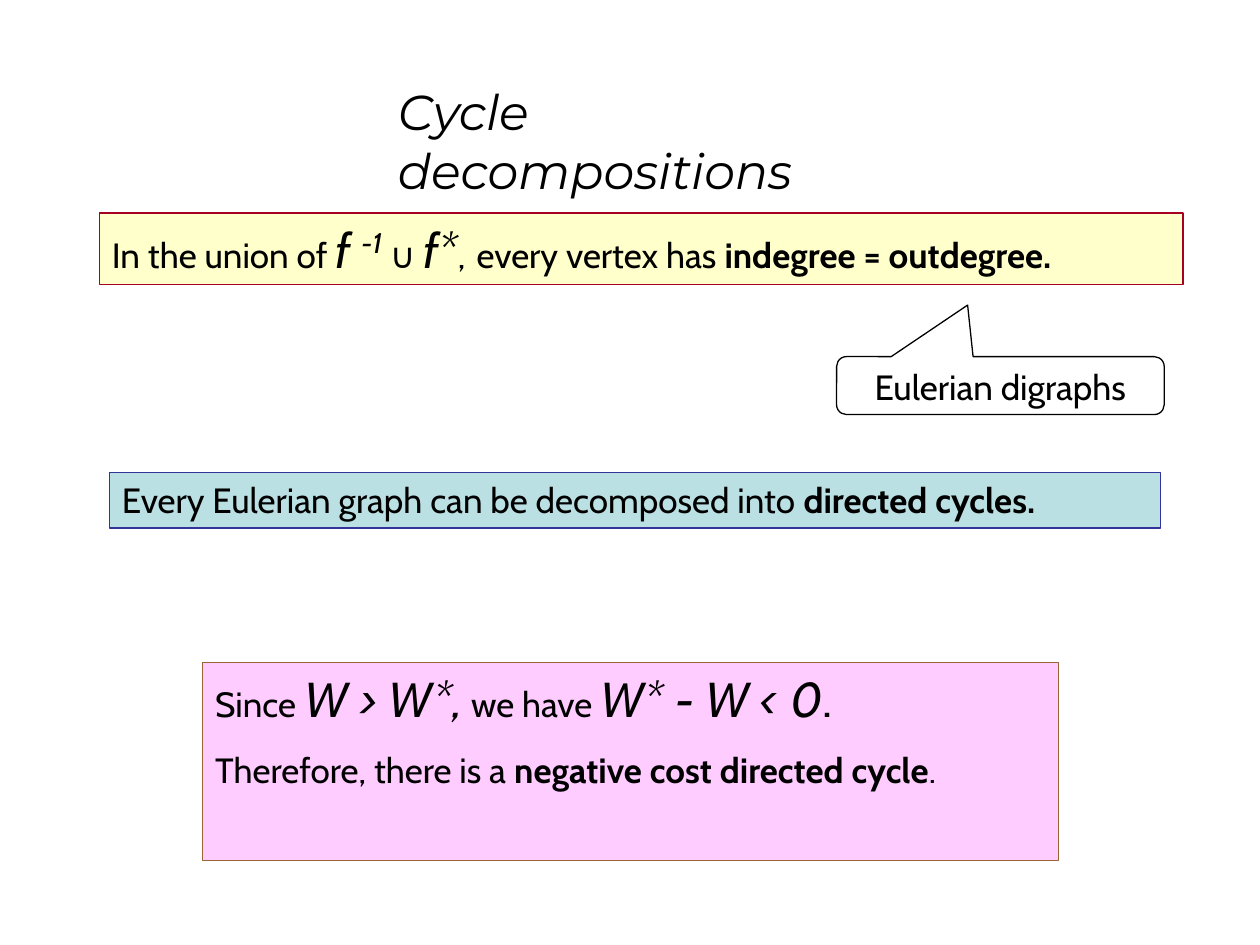
from pptx import Presentation
from pptx.dml.color import RGBColor
from pptx.enum.shapes import MSO_SHAPE
from pptx.enum.text import MSO_ANCHOR, PP_ALIGN
from pptx.util import Pt

RECTANGLE = MSO_SHAPE.RECTANGLE
CALLOUT = MSO_SHAPE.ROUNDED_RECTANGULAR_CALLOUT
TOP = MSO_ANCHOR.TOP
LEFT, CENTER = PP_ALIGN.LEFT, PP_ALIGN.CENTER

COLORS = {
    "text": "000000",
    "yellow": "FFFFCC", "red": "A50021",
    "blue": "BBE0E3", "navy": "333399",
    "pink": "FFCCFF", "brown": "996633",
}
BODY_SIZE, MATH_SIZE = 20, 28
STYLES = {
    "plain": (BODY_SIZE, False, False),
    "bold": (BODY_SIZE, True, False),
    "italic": (BODY_SIZE, False, True),
    "math": (MATH_SIZE, False, True),
    "power": (MATH_SIZE, False, True),
    "large": (MATH_SIZE, False, False),
}

TITLE = {"at": (220.3, 43.2, 279.4, 41), "text": "Cycle decompositions"}
BOXES = [
    {"at": (115.9, 378.7, 488.9, 113), "fill": "pink", "line": "brown", "paragraphs": [
        (1, [("Since ", "plain"), ("W > W*,", "math"), (" we have ", "plain"),
             ("W* - W < 0", "math"), (".", "large")]),
        (1.5, [("Therefore, there is a ", "plain"),
               ("negative cost directed cycle", "bold"), (".", "plain")]),
    ]},
    {"at": (56.9, 121.7, 619.2, 41), "fill": "yellow", "line": "red", "paragraphs": [
        (1, [("In the union of ", "plain"), ("f ", "math"), ("-1", "power"),
             (" ∪ ", "italic"), ("f*", "math"), (",", "plain"), (" ", "large"),
             ("every vertex has ", "plain"), ("indegree = outdegree.", "bold")]),
    ]},
    {"at": (478.1, 203.8, 187.2, 33.1), "line": "text", "shape": CALLOUT,
     "adjustments": (-0.1, -1.39, 0.17), "align": CENTER,
     "paragraphs": [(1, [("Eulerian digraphs", "plain")])]},
    {"at": (62.6, 270, 600.5, 31.7), "fill": "blue", "line": "navy", "paragraphs": [
        (1, [("Every Eulerian graph can be decomposed into ", "plain"),
             ("directed cycles.", "bold")]),
    ]},
]


def color(name):
    return RGBColor.from_string(COLORS[name])


def prepare_frame(shape):
    frame = shape.text_frame
    frame.word_wrap = True
    frame.vertical_anchor = TOP
    return frame


def add_title(slide):
    shape = slide.shapes.add_textbox(*map(Pt, TITLE["at"]))
    paragraph = prepare_frame(shape).paragraphs[0]
    paragraph.text = TITLE["text"]
    font = paragraph.font
    font.name, font.size, font.italic = "Montserrat", Pt(28), True
    font.color.rgb = color("text")


def add_runs(paragraph, runs):
    paragraph.font.name = "Cabin"
    paragraph.font.color.rgb = color("text")
    for text, style in runs:
        run = paragraph.add_run()
        run.text = text
        size, run.font.bold, run.font.italic = STYLES[style]
        run.font.size = Pt(size)
        run.font.name = "Cabin"
        run.font.color.rgb = color("text")
        if style == "power":
            run._r.get_or_add_rPr().set("baseline", "30000")


def add_box(slide, box):
    shape = slide.shapes.add_shape(box.get("shape", RECTANGLE), *map(Pt, box["at"]))
    shape.shadow.inherit = False
    for index, value in enumerate(box.get("adjustments", ())):
        shape.adjustments[index] = value
    if "fill" in box:
        shape.fill.solid()
        shape.fill.fore_color.rgb = color(box["fill"])
    else:
        shape.fill.background()
    shape.line.color.rgb = color(box["line"])
    shape.line.width = Pt(0.75)
    frame = prepare_frame(shape)
    for index, (spacing, runs) in enumerate(box["paragraphs"]):
        paragraph = frame.add_paragraph() if index else frame.paragraphs[0]
        paragraph.alignment = box.get("align", LEFT)
        paragraph.line_spacing = spacing
        add_runs(paragraph, runs)


def main():
    presentation = Presentation()
    presentation.slide_width, presentation.slide_height = Pt(720), Pt(540)
    slide = presentation.slides.add_slide(presentation.slide_layouts[6])
    add_title(slide)
    for box in BOXES:
        add_box(slide, box)
    presentation.save("out.pptx")


if __name__ == "__main__":
    main()
